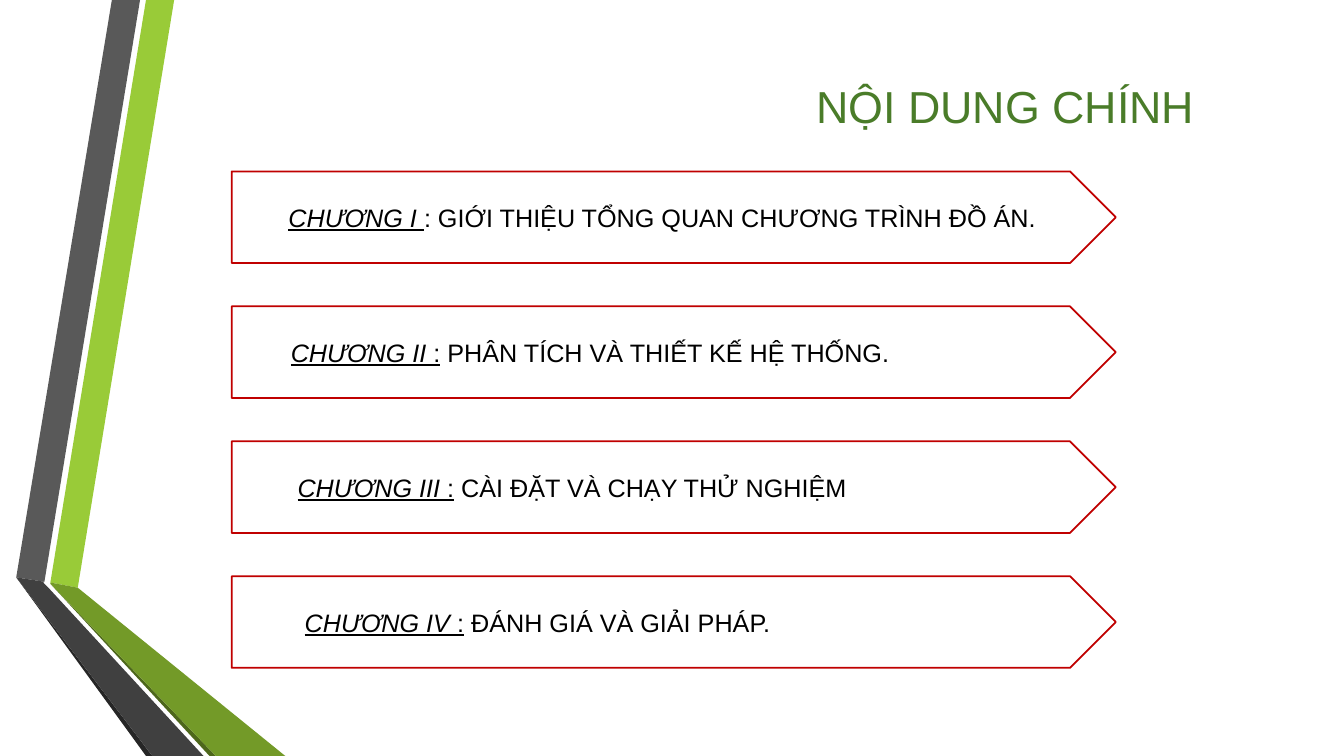
import pptx
import pptx.dml.color
import pptx.enum.shapes
import pptx.enum.text
import pptx.util

Cm, Pt = pptx.util.Cm, pptx.util.Pt
ALIGN = pptx.enum.text.PP_ALIGN
MIDDLE = pptx.enum.text.MSO_ANCHOR.MIDDLE
PENTAGON = pptx.enum.shapes.MSO_SHAPE.PENTAGON

BANDS = [
    ("99CB38", [(1.27, 14.68), (1.96, 14.81), (4.39, 0), (3.68, 0)]),
    ("595959", [(3.53, 0), (2.82, 0), (0.41, 14.55), (1.12, 14.66)]),
    ("262626", [(0.41, 14.55), (3.68, 19.05), (3.84, 19.05)]),
    ("4D671B", [(1.27, 14.71), (5.28, 19.05), (5.44, 19.05)]),
    ("739A28", [(1.27, 14.71), (5.44, 19.05), (7.19, 19.05), (1.96, 14.81),
                (1.27, 14.68)]),
    ("404040", [(5.13, 19.05), (1.22, 14.81), (1.09, 14.68), (1.12, 14.66),
                (0.41, 14.55), (3.84, 19.05)]),
]

PLAIN = {"italic": False, "underline": False}
UNDERLINED = {"italic": False, "underline": True}
CHAPTER = {"italic": True, "underline": True}

# Each chapter: alignment, left margin in cm, runs
CHAPTERS = [
    (ALIGN.CENTER, 0.25, [("CHƯƠNG I ", CHAPTER),
                          (": GIỚI THIỆU TỔNG QUAN CHƯƠNG TRÌNH ĐỒ ÁN.", PLAIN)]),
    (ALIGN.LEFT, 1.49, [("CHƯƠNG II", CHAPTER), (" :", UNDERLINED),
                        (" PHÂN TÍCH VÀ THIẾT KẾ HỆ THỐNG.", PLAIN)]),
    (ALIGN.LEFT, 1.66, [("CHƯƠNG III ", CHAPTER), (":", UNDERLINED),
                        (" CÀI ĐẶT VÀ CHẠY THỬ NGHIỆM", PLAIN)]),
    (ALIGN.LEFT, 1.84, [("CHƯƠNG IV ", CHAPTER), (":", UNDERLINED),
                        (" ĐÁNH GIÁ VÀ GIẢI PHÁP.", PLAIN)]),
]


def rgb(value):
    return pptx.dml.color.RGBColor.from_string(value)


class SlideBuilder:
    font = "Arial"
    outline = "C00000"

    def __init__(self, slide):
        self.shapes = slide.shapes

    def band(self, color, points):
        start, *rest = [(Cm(x), Cm(y)) for x, y in points]
        builder = self.shapes.build_freeform(*start)
        builder.add_line_segments(rest, close=True)
        sp = builder.convert_to_shape()
        sp.shadow.inherit = False
        sp.fill.solid()
        sp.fill.fore_color.rgb = rgb(color)
        sp.line.fill.background()

    def set_text(self, sp, runs, size, color, align, margins):
        """Fill a shape with one paragraph of (text, format) runs."""
        tf = sp.text_frame
        frame = {"word_wrap": True, "vertical_anchor": MIDDLE, **margins}
        for name, value in frame.items():
            setattr(tf, name, value)
        p = tf.paragraphs[0]
        p.alignment = align
        for text, extra in runs:
            r = p.add_run()
            r.text = text
            r.font.color.rgb = rgb(color)
            for name, value in {"name": self.font, "size": Pt(size), **extra}.items():
                setattr(r.font, name, value)

    def title(self, text, left, top, width, height):
        sp = self.shapes.add_textbox(Cm(left), Cm(top), Cm(width), Cm(height))
        self.set_text(sp, [(text, {})], 32, "4A7C29", ALIGN.CENTER,
                      {"margin_right": Cm(0.57)})

    def arrow(self, left, top, width, height, align, margin, runs):
        sp = self.shapes.add_shape(PENTAGON, Cm(left), Cm(top), Cm(width), Cm(height))
        sp.shadow.inherit = False
        sp.fill.solid()
        sp.fill.fore_color.rgb = rgb("FFFFFF")
        sp.line.color.rgb = rgb(self.outline)
        sp.line.width = Pt(1.25)
        self.set_text(sp, runs, 18, "000000", align, {"margin_left": Cm(margin)})


def main():
    prs = pptx.Presentation()
    prs.slide_width, prs.slide_height = Cm(33.87), Cm(19.05)
    s = SlideBuilder(prs.slides.add_slide(prs.slide_layouts[6]))
    for color, points in BANDS:
        s.band(color, points)
    s.title("NỘI DUNG CHÍNH", 18.59, 1.65, 13.82, 2.03)
    for i, chapter in enumerate(CHAPTERS):
        s.arrow(5.84, 4.32 + 3.4 * i, 22.28, 2.31, *chapter)
    prs.save("out.pptx")


if __name__ == "__main__":
    main()
